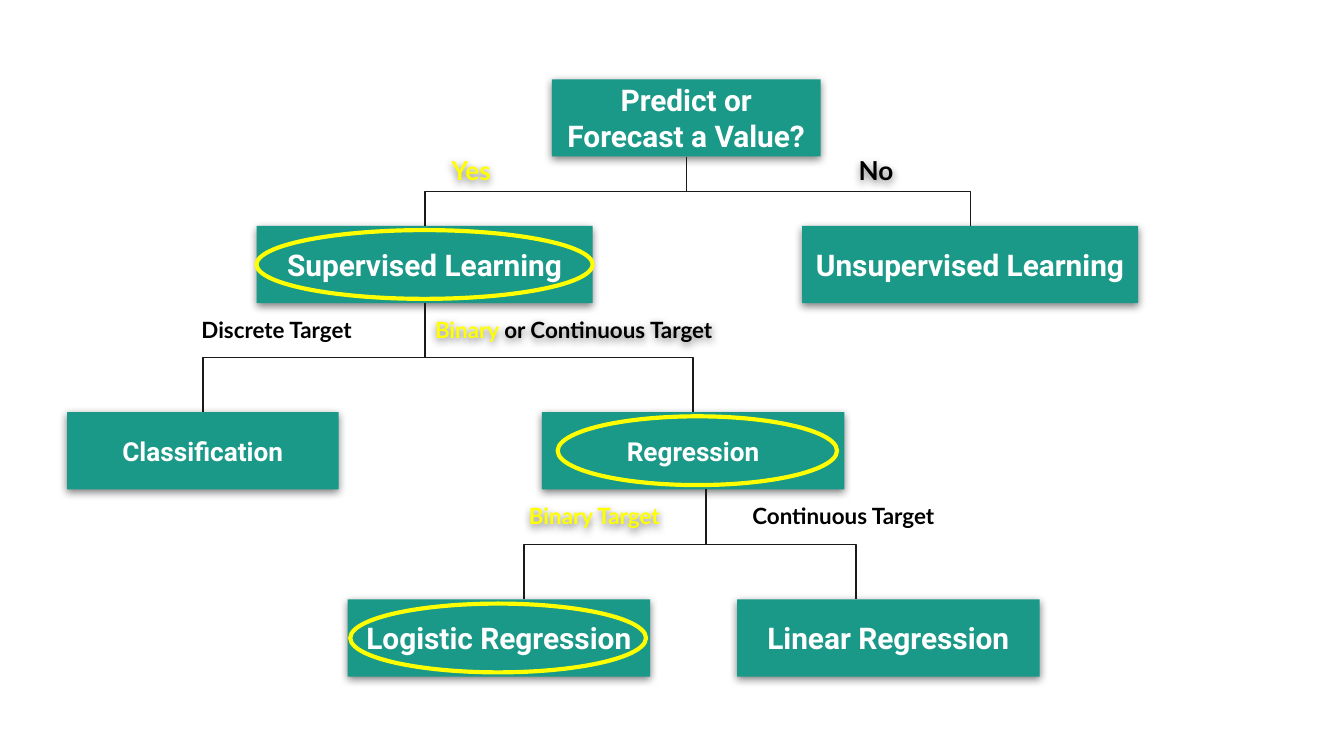
import pptx
import pptx.util
import pptx.oxml
import pptx.oxml.ns
import pptx.dml.color
import pptx.enum.shapes
import pptx.enum.text
from dataclasses import dataclass

Cm, Pt = pptx.util.Cm, pptx.util.Pt
Kind = pptx.enum.shapes.MSO_SHAPE
Align = pptx.enum.text.PP_ALIGN


@dataclass
class Theme:
    teal: str = "1A9988"
    gold: str = "FFFF00"
    ink: str = "000000"
    wire: str = "1A1A1A"
    white: str = "FFFFFF"
    head: str = "Roboto"
    body: str = "Lato"
    big: int = 16
    mid: int = 14
    small: int = 12
    thin: float = 0.75
    ring: float = 2.25


SHADOW = """<a:outerShdw %s blurRad="57150" dist="19050" dir="5400000"
 algn="bl" rotWithShape="0"><a:srgbClr val="%s"><a:alpha val="50000"/>
</a:srgbClr></a:outerShdw>"""


class Tree:
    def __init__(self, slide, theme):
        self.slide, self.theme = slide, theme

    def paint(self, hue):
        return pptx.dml.color.RGBColor.from_string(hue)

    def shade(self, shape):
        shape.shadow.inherit = False
        effects = shape._element.spPr.find(pptx.oxml.ns.qn("a:effectLst"))
        names = pptx.oxml.ns.nsdecls("a")
        effects.append(pptx.oxml.parse_xml(SHADOW % (names, self.theme.ink)))

    def letter(self, shape, runs, size, font, align):
        frame = shape.text_frame
        frame.word_wrap = True
        frame.margin_left = frame.margin_right = Cm(0.25)
        frame.margin_top = frame.margin_bottom = Cm(0.25)
        para = frame.paragraphs[0]
        para.alignment = align
        for words, hue in runs:
            run = para.add_run()
            run.text = words
            run.font.size, run.font.name = Pt(size), font
            run.font.bold = True
            run.font.color.rgb = self.paint(hue)

    def box(self, words, x, y, w, h, size):
        shape = self.slide.shapes.add_shape(
            Kind.RECTANGLE, Cm(x), Cm(y), Cm(w), Cm(h))
        shape.fill.solid()
        shape.fill.fore_color.rgb = self.paint(self.theme.teal)
        shape.line.fill.background()
        self.shade(shape)
        shape.text_frame.vertical_anchor = pptx.enum.text.MSO_ANCHOR.MIDDLE
        self.letter(shape, [(words, self.theme.white)], size,
                    self.theme.head, Align.CENTER)

    def label(self, runs, x, y, w, h, size, align, shaded):
        shape = self.slide.shapes.add_textbox(Cm(x), Cm(y), Cm(w), Cm(h))
        if shaded:
            self.shade(shape)
        self.letter(shape, runs, size, self.theme.body, align)
        shape.text_frame.auto_size = (
            pptx.enum.text.MSO_AUTO_SIZE.SHAPE_TO_FIT_TEXT)

    def ring(self, x, y, w, h):
        shape = self.slide.shapes.add_shape(
            Kind.OVAL, Cm(x), Cm(y), Cm(w), Cm(h))
        shape.fill.background()
        shape.line.color.rgb = self.paint(self.theme.gold)
        shape.line.width = Pt(self.theme.ring)
        shape.shadow.inherit = False

    def elbow(self, x1, y1, x2, y2):
        # Lay the bend flat around its centre, then turn it to run downwards
        run, drop = abs(x2 - x1), y2 - y1
        left, top = (x1 + x2 - drop) / 2, (y1 + y2 - run) / 2
        right = x2 > x1
        ends = (left + drop, left) if right else (left, left + drop)
        line = self.slide.shapes.add_connector(
            pptx.enum.shapes.MSO_CONNECTOR.ELBOW,
            Cm(ends[0]), Cm(top), Cm(ends[1]), Cm(top + run))
        frame = line._element.spPr.find(pptx.oxml.ns.qn("a:xfrm"))
        frame.set("rot", "16200000" if right else "5400000")
        line.line.color.rgb = self.paint(self.theme.wire)
        line.line.width = Pt(self.theme.thin)
        line._element.spPr.append(pptx.oxml.parse_xml(
            "<a:effectLst %s/>" % pptx.oxml.ns.nsdecls("a")))


def main():
    deck = pptx.Presentation()
    deck.slide_width, deck.slide_height = Cm(25.4), Cm(14.29)
    look = Theme()
    tree = Tree(deck.slides.add_slide(deck.slide_layouts[6]), look)
    rows, tall = [1.5, 4.27, 7.79, 11.33], 1.46

    # Branch labels
    for words, x, hue in [("Yes", 8.28, look.gold), ("No", 15.98, look.ink)]:
        tree.label([(words, hue)], x, 2.67, 1.9, 1.12, look.mid,
                   Align.LEFT, True)
    for runs, x, y, w, shaded in [
        ([("Discrete Target", look.ink)], 3.3, 5.72, 3.86, False),
        ([("Binary ", look.gold), ("or Continuous Target", look.ink)],
         7.24, 5.72, 7.21, True),
        ([("Binary Target", look.gold)], 9.09, 9.25, 4.29, True),
        ([("Continuous Target", look.ink)], 13.21, 9.25, 5.46, False),
    ]:
        tree.label(runs, x, y, w, 1.02, look.small, Align.CENTER, shaded)

    # Decision boxes
    for words, x, row, w, size in [
        ("Predict or Forecast a Value?", 10.43, 0, 5.08, look.big),
        ("Supervised Learning", 4.85, 1, 6.35, look.big),
        ("Unsupervised Learning", 15.16, 1, 6.35, look.big),
        ("Classification", 1.27, 2, 5.13, look.mid),
        ("Regression", 10.24, 2, 5.72, look.mid),
        ("Logistic Regression", 6.57, 3, 5.72, look.big),
        ("Linear Regression", 13.93, 3, 5.72, look.big),
    ]:
        tree.box(words, x, rows[row], w, tall, size)

    # Branches from each row to the next
    for row, (start, *goals) in enumerate([
        (12.97, 8.03, 18.34), (8.03, 3.84, 13.1), (13.34, 9.9, 16.18),
    ]):
        for goal in goals:
            tree.elbow(start, rows[row] + tall, goal, rows[row + 1])

    # Rings around the chosen path
    for x, row, w in [(4.85, 1, 6.35), (10.54, 2, 5.28), (6.62, 3, 5.59)]:
        tree.ring(x, rows[row] + 0.08, w, 1.3)

    deck.save("out.pptx")


if __name__ == "__main__":
    main()
